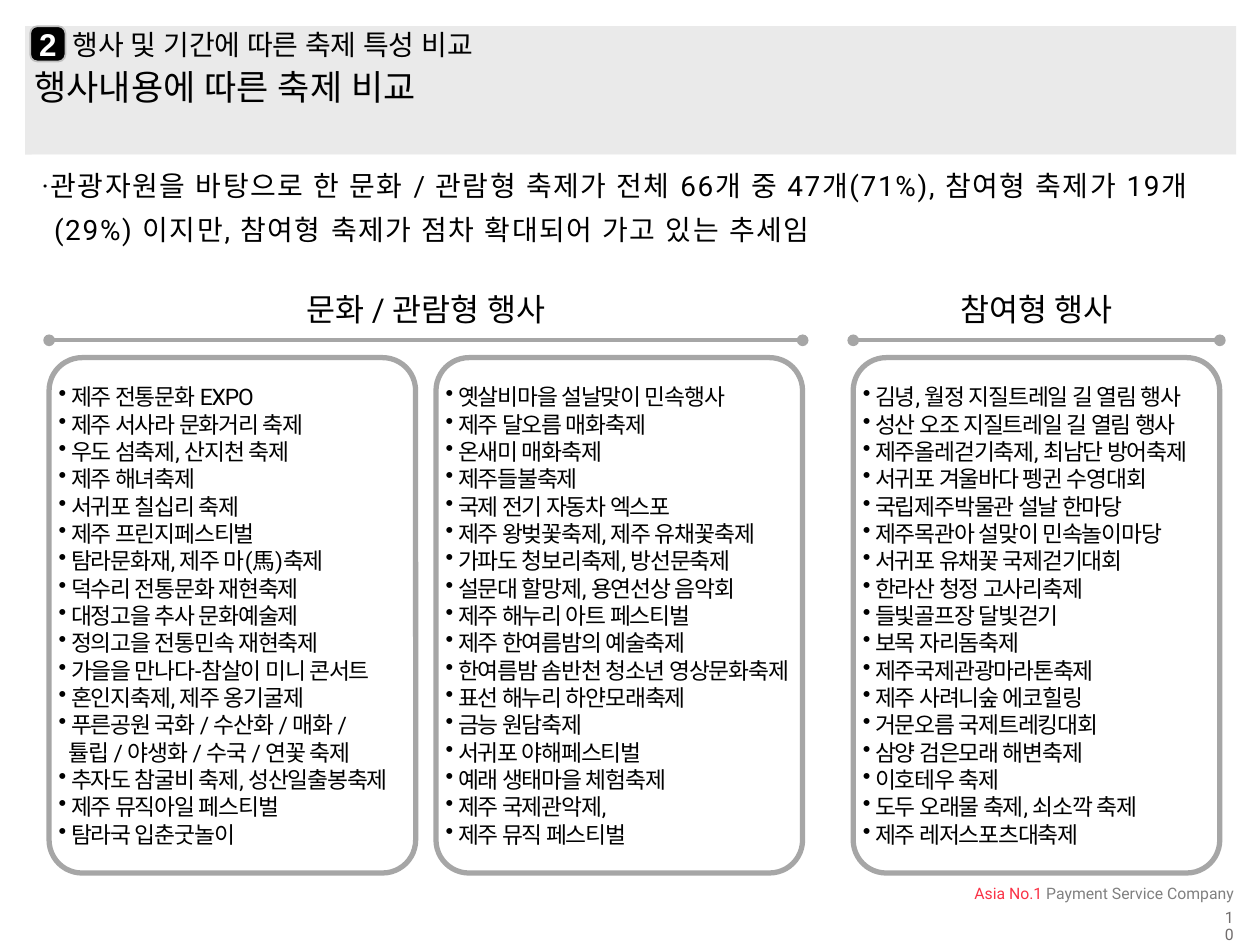
"""Build a slide comparing Jeju festivals by the content of their events."""
from lxml import etree
from pptx import Presentation
from pptx.dml import color
from pptx.enum import shapes, text
from pptx.oxml import ns
from pptx.util import Cm, Pt

TITLE = "행사 및 기간에 따른 축제 특성 비교"
SUBTITLE = "행사내용에 따른 축제 비교"
SUMMARY = ("·관광자원을 바탕으로 한 문화 / 관람형 축제가 전체 66개 중 47개(71%), 참여형 축제가 "
           "19개 (29%) 이지만, 참여형 축제가 점차 확대되어 가고 있는 추세임")
FOOTER = [("Asia No.1 ", "FA3246"), ("Payment Service Company", "808080")]
CONTINUED = "튤립 / 야생화 / 수국 / 연꽃 축제"
CULTURE_1 = [
    "제주 전통문화 EXPO", "제주 서사라 문화거리 축제", "우도 섬축제, 산지천 축제",
    "제주 해녀축제", "서귀포 칠십리 축제", "제주 프린지페스티벌",
    "탐라문화재, 제주 마(馬)축제", "덕수리 전통문화 재현축제", "대정고을 추사 문화예술제",
    "정의고을 전통민속 재현축제", "가을을 만나다-참살이 미니 콘서트", "혼인지축제, 제주 옹기굴제",
    "푸른공원 국화 / 수산화 / 매화 /", CONTINUED, "추자도 참굴비 축제, 성산일출봉축제",
    "제주 뮤직아일 페스티벌", "탐라국 입춘굿놀이",
]
CULTURE_2 = [
    "옛살비마을 설날맞이 민속행사", "제주 달오름 매화축제", "온새미 매화축제",
    "제주들불축제", "국제 전기 자동차 엑스포", "제주 왕벚꽃축제, 제주 유채꽃축제",
    "가파도 청보리축제, 방선문축제", "설문대 할망제, 용연선상 음악회", "제주 해누리 아트 페스티벌",
    "제주 한여름밤의 예술축제", "한여름밤 솜반천 청소년 영상문화축제", "표선 해누리 하얀모래축제",
    "금능 원담축제", "서귀포 야해페스티벌", "예래 생태마을 체험축제",
    "제주 국제관악제,", "제주 뮤직 페스티벌",
]
HANDS_ON = [
    "김녕, 월정 지질트레일 길 열림 행사", "성산 오조 지질트레일 길 열림 행사",
    "제주올레걷기축제, 최남단 방어축제", "서귀포 겨울바다 펭귄 수영대회", "국립제주박물관 설날 한마당",
    "제주목관아 설맞이 민속놀이마당", "서귀포 유채꽃 국제걷기대회", "한라산 청정 고사리축제",
    "들빛골프장 달빛걷기", "보목 자리돔축제", "제주국제관광마라톤축제",
    "제주 사려니숲 에코힐링", "거문오름 국제트레킹대회", "삼양 검은모래 해변축제",
    "이호테우 축제", "도두 오래물 축제, 쇠소깍 축제", "제주 레저스포츠대축제",
]
GROUPS = [("문화 / 관람형 행사", 0.99, [CULTURE_1, CULTURE_2]),
          ("참여형 행사", 17.2, [HANDS_ON])]
BOX_W, BOX_H, BOX_TOP, BOX_GAP = 7.39, 10.39, 7.21, 0.41
HEADING_TOP, RULE_Y = 5.94, 6.86
GREY = "A6A6A6"
LEFT, CENTER, RIGHT = text.PP_ALIGN.LEFT, text.PP_ALIGN.CENTER, text.PP_ALIGN.RIGHT
TOP, MIDDLE = text.MSO_ANCHOR.TOP, text.MSO_ANCHOR.MIDDLE


def paint(fmt, hex_color):
    """Give a fill or font one solid colour."""
    if hasattr(fmt, "solid"):
        fmt.solid()
        fmt.fore_color.rgb = color.RGBColor.from_string(hex_color)
    else:
        fmt.color.rgb = color.RGBColor.from_string(hex_color)


def frame(s, anchor=TOP, margins=(0, 0, 0, 0), wrap=True):
    """Set anchor, margins (left, top, right, bottom) and wrapping."""
    tf = s.text_frame
    tf.auto_size = text.MSO_AUTO_SIZE.NONE
    tf.word_wrap, tf.vertical_anchor = wrap, anchor
    tf.margin_left, tf.margin_top, tf.margin_right, tf.margin_bottom = map(Cm, margins)
    return tf


def style(p, size, align=LEFT, spacing=1.0, hex_color="000000", font="Roboto", bold=False, track=0):
    """Format a paragraph and its runs."""
    p.alignment, p.line_spacing, p.space_before = align, spacing, Pt(0)
    for r in p.runs:
        r.font.size, r.font.name, r.font.bold = Pt(size), font, bold
        paint(r.font, hex_color)
        etree.SubElement(r.font._element, ns.qn("a:ea")).set("typeface", font)
        if track:
            r.font._element.set("spc", str(track))


def indent(p, left, first=0, bullet=None):
    """Set the indents of a paragraph and an optional bullet."""
    pPr = p._p.get_or_add_pPr()
    pPr.set("marL", str(Cm(left)))
    pPr.set("indent", str(Cm(first)))
    if bullet:
        etree.SubElement(pPr, ns.qn("a:buChar")).set("char", bullet)


def place(s, left, top, width, height):
    """Move and size a shape in centimetres."""
    s.left, s.top, s.width, s.height = map(Cm, (left, top, width, height))


def add_box(slide, kind, at, fill=None, line=None, weight=1):
    """Add a preset shape without a shadow."""
    s = slide.shapes.add_shape(kind, *map(Cm, at))
    s.shadow.inherit = False
    if fill:
        paint(s.fill, fill)
    else:
        s.fill.background()
    if line:
        paint(s.line.fill, line)
        s.line.width = Pt(weight)
    else:
        s.line.fill.background()
    return s


def add_label(slide, at, label, size, **kwargs):
    """Add a one-paragraph text box."""
    tf = frame(slide.shapes.add_textbox(*map(Cm, at)))
    tf.text = label
    style(tf.paragraphs[0], size, **kwargs)


def add_rule(slide, left, right):
    """Add a heading rule with round ends."""
    s = slide.shapes.add_connector(shapes.MSO_CONNECTOR.STRAIGHT, *map(Cm, (left, RULE_Y, right, RULE_Y)))
    paint(s.line.fill, GREY)
    s.line.width = Pt(2.25)
    for end in ("a:headEnd", "a:tailEnd"):
        etree.SubElement(s.line._get_or_add_ln(), ns.qn(end)).set("type", "oval")
    etree.SubElement(s._element.spPr, ns.qn("a:effectLst"))


def add_list(slide, left, items):
    """Add a rounded box with a bulleted list of festivals."""
    s = add_box(slide, shapes.MSO_SHAPE.ROUNDED_RECTANGLE, (left, BOX_TOP, BOX_W, BOX_H), line=GREY, weight=3)
    s.adjustments[0] = 0.09
    tf = frame(s, MIDDLE, wrap=False)
    tf.text = "\n".join(items)
    for p, item in zip(tf.paragraphs, items):
        if item == CONTINUED:
            indent(p, 0.2)
        else:
            indent(p, 0.25, -0.25, "•")
        style(p, 13, track=-60)


def add_header(slide):
    """Fill the grey band with the title, subtitle and section number."""
    add_box(slide, shapes.MSO_SHAPE.RECTANGLE, (0.51, 0.53, 24.41, 2.59), fill="EAEAEA")
    title, body = slide.placeholders
    for s, label, top, height, size, anchor, inset in (
            (body, SUBTITLE, 1.42, 0.79, 20, TOP, 0),
            (title, TITLE, 0.56, 0.76, 16, MIDDLE, 0.78)):
        slide.shapes._spTree.append(s._element)
        place(s, 0.69, top, 22.61, height)
        tf = frame(s, anchor, (inset, 0, 0, 0))
        tf.text = label
        style(tf.paragraphs[0], size, spacing=0.9)
    s = add_box(slide, shapes.MSO_SHAPE.ROUNDED_RECTANGLE, (0.61, 0.53, 0.71, 0.71), "000000", "BFBFBF")
    s.adjustments[0] = 0.2
    tf = frame(s, MIDDLE)
    tf.text = "2"
    style(tf.paragraphs[0], 18, CENTER, hex_color="FFFFFF", font="Arial", bold=True)


def add_summary(slide):
    """Add the summary sentence under the band."""
    s = add_box(slide, shapes.MSO_SHAPE.RECTANGLE, (0.64, 3.12, 24.28, 2.01), fill="FFFFFF")
    tf = frame(s, MIDDLE, (0.2, 0.2, 0.6, 0.3))
    tf.text = SUMMARY
    p = tf.paragraphs[0]
    indent(p, 0.25, -0.25)
    style(p, 16, spacing=1.3, track=100)


def add_footer(slide):
    """Add the slogan and the page number."""
    add_label(slide, (24.69, 18.34, 0.18, 0.36), "10", 9, align=RIGHT, spacing=0.9, hex_color="716D6D")
    s = slide.shapes.add_textbox(*map(Cm, (17.96, 17.73, 7.19, 0.56)))
    p = frame(s, MIDDLE, (0.28, 0.15, 0.28, 0.15)).paragraphs[0]
    for label, _ in FOOTER:
        p.add_run().text = label
    style(p, 9, RIGHT)
    for r, (_, hex_color) in zip(p.runs, FOOTER):
        paint(r.font, hex_color)


def main():
    """Build and save the slide."""
    prs = Presentation()
    prs.slide_width, prs.slide_height = Cm(25.4), Cm(19.05)
    slide = prs.slides.add_slide(prs.slide_layouts.get_by_name("Section Header"))
    add_header(slide)
    add_summary(slide)
    for heading, left, columns in GROUPS:
        width = len(columns) * (BOX_W + BOX_GAP) - BOX_GAP
        add_label(slide, (left, HEADING_TOP, width, 0.71), heading, 18, align=CENTER, spacing=0.9)
        add_rule(slide, left, left + width)
        for i, items in enumerate(columns):
            add_list(slide, left + i * (BOX_W + BOX_GAP), items)
    add_footer(slide)
    prs.save("out.pptx")


if __name__ == "__main__":
    main()
